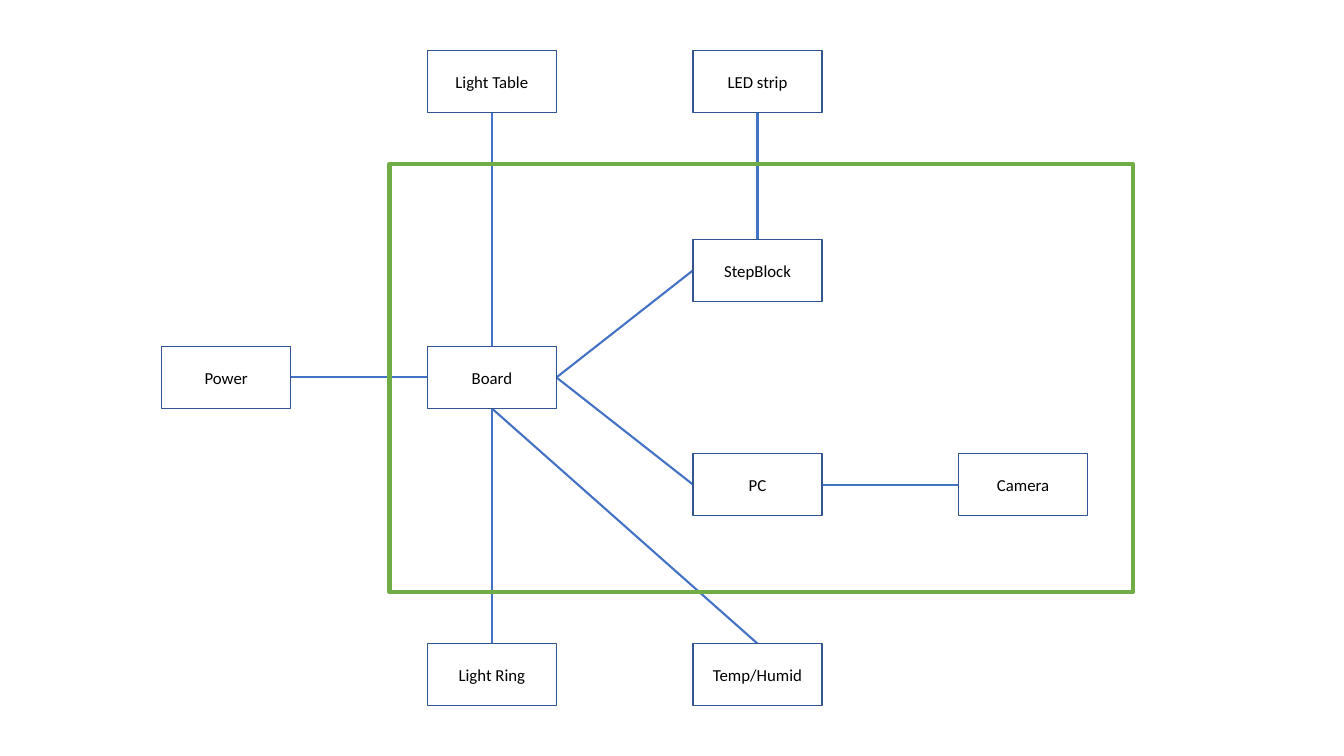
from lxml.etree import SubElement
from pptx import Presentation
from pptx.dml.color import RGBColor
from pptx.enum.shapes import MSO_CONNECTOR, MSO_SHAPE
from pptx.enum.text import MSO_ANCHOR, PP_ALIGN
from pptx.oxml.ns import qn
from pptx.util import Emu, Pt

PX = 9525
COLORS = {
    "box": "FFFFFF",
    "border": "325491",
    "link": "4472C4",
    "frame": "70AD47",
    "text": "000000",
}
TOP, LEFT, BOTTOM, RIGHT = range(4)
COLUMN_START, COLUMN_STEP = 154, 253
BOX_WIDTH, BOX_HEIGHT = 123, 59

# label: (column, top)
BOXES = {
    "Light Table": (1, 48),
    "StepBlock": (2, 228),
    "LED strip": (2, 48),
    "Power": (0, 330),
    "Board": (1, 330),
    "PC": (2, 432),
    "Camera": (3, 432),
    "Light Ring": (1, 613),
    "Temp/Humid": (2, 613),
}
LINKS = [
    ("Power", RIGHT, "Board", LEFT),
    ("Board", RIGHT, "PC", LEFT),
    ("Light Table", BOTTOM, "Board", TOP),
    ("StepBlock", LEFT, "Board", RIGHT),
    ("Temp/Humid", TOP, "Board", BOTTOM),
    ("Light Ring", TOP, "Board", BOTTOM),
    ("Camera", LEFT, "PC", RIGHT),
    ("LED strip", BOTTOM, "StepBlock", TOP),
]


def px(length):
    return Emu(length * PX)


def color(name):
    return RGBColor.from_string(COLORS[name])


def add_rectangle(page, left, top, width, height, border, weight):
    shape = page.shapes.add_shape(
        MSO_SHAPE.RECTANGLE, px(left), px(top), px(width), px(height))
    shape.shadow.inherit = False
    shape.line.color.rgb = color(border)
    shape.line.width = Pt(weight)
    return shape


def add_box(page, label, column, top):
    left = COLUMN_START + column * COLUMN_STEP
    box = add_rectangle(page, left, top, BOX_WIDTH, BOX_HEIGHT, "border", 1)
    box.fill.solid()
    box.fill.fore_color.rgb = color("box")
    box.text_frame.vertical_anchor = MSO_ANCHOR.MIDDLE
    para = box.text_frame.paragraphs[0]
    para.text = label
    para.alignment = PP_ALIGN.CENTER
    para.font.name = "Calibri"
    para.font.size = Pt(12)
    para.font.color.rgb = color("text")
    return box


def add_link(page):
    """Add a styled line whose ends are placed once the boxes exist."""
    link = page.shapes.add_connector(MSO_CONNECTOR.STRAIGHT, 0, 0, 0, 0)
    link.line.color.rgb = color("link")
    link.line.width = Pt(1.5)
    SubElement(link._element.spPr, qn("a:effectLst"))
    return link


def main():
    deck = Presentation()
    deck.slide_width, deck.slide_height = px(1280), px(720)
    page = deck.slides.add_slide(deck.slide_layouts[6])

    # Links come first so that they lie behind the boxes.
    links = [add_link(page) for _ in LINKS]
    boxes = {label: add_box(page, label, *place)
             for label, place in BOXES.items()}
    for link, (start, start_side, end, end_side) in zip(links, LINKS):
        link.begin_connect(boxes[start], start_side)
        link.end_connect(boxes[end], end_side)

    frame = add_rectangle(page, 371, 156, 708, 408, "frame", 3)
    frame.fill.background()
    deck.save("out.pptx")


if __name__ == "__main__":
    main()
